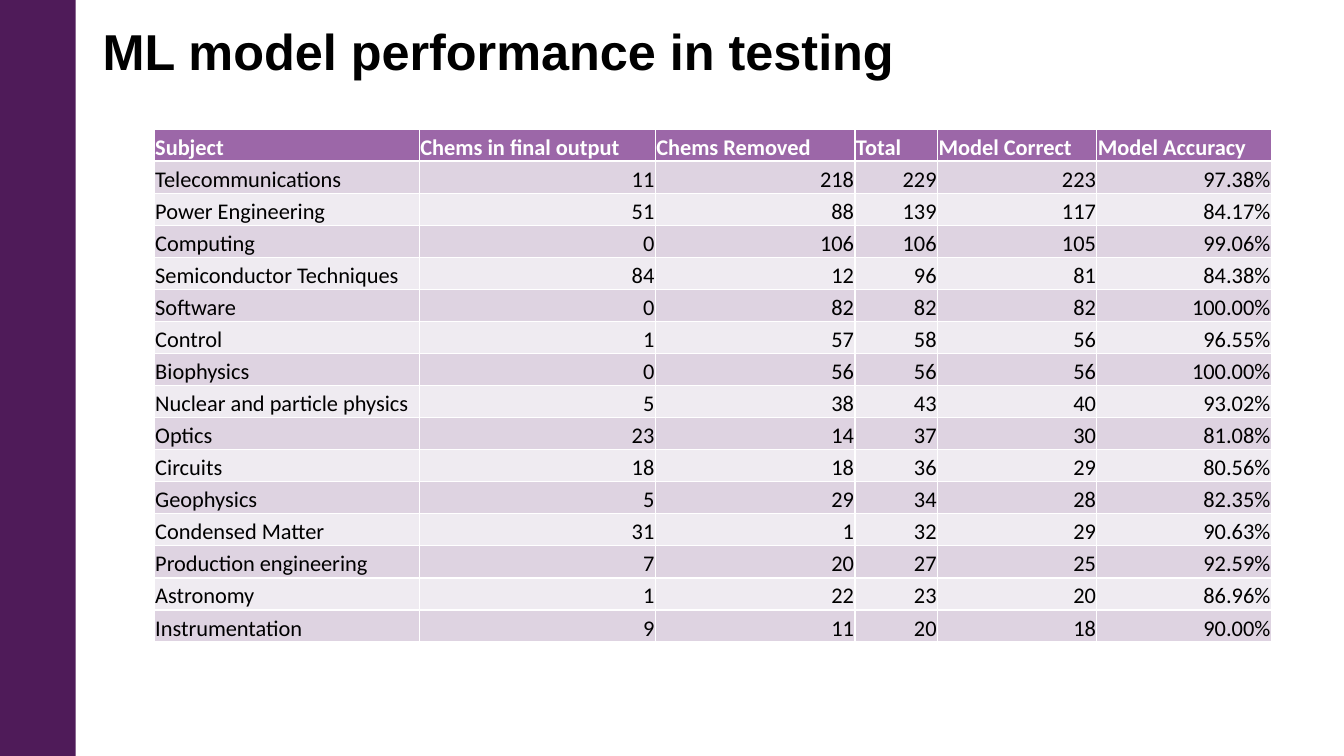
from dataclasses import astuple, dataclass

from pptx import Presentation
from pptx.dml.color import RGBColor
from pptx.enum.shapes import MSO_SHAPE
from pptx.enum.text import MSO_ANCHOR, PP_ALIGN
from pptx.slide import Slide
from pptx.table import _Cell
from pptx.text.text import Font
from pptx.util import Emu, Pt

EMU_PER_PX = 9144
RECTANGLE = MSO_SHAPE.RECTANGLE
MIDDLE, BOTTOM = MSO_ANCHOR.MIDDLE, MSO_ANCHOR.BOTTOM
LEFT, RIGHT = PP_ALIGN.LEFT, PP_ALIGN.RIGHT

COLOURS = {
    "sidebar": "4F1B59",
    "header": "9C67A8",
    "odd_row": "DED3E1",
    "even_row": "EFEBF1",
    "black": "000000",
    "white": "FFFFFF",
}


@dataclass(frozen=True)
class Column:
    heading: str
    width: int


@dataclass(frozen=True)
class SubjectResult:
    subject: str
    kept: int
    removed: int
    total: int
    correct: int
    accuracy: str


COLUMNS = [
    Column("Subject", 263),
    Column("Chems in final output", 234),
    Column("Chems Removed", 198),
    Column("Total", 82),
    Column("Model Correct", 158),
    Column("Model Accuracy", 173),
]

RESULTS = [
    SubjectResult("Telecommunications", 11, 218, 229, 223, "97.38%"),
    SubjectResult("Power Engineering", 51, 88, 139, 117, "84.17%"),
    SubjectResult("Computing", 0, 106, 106, 105, "99.06%"),
    SubjectResult("Semiconductor Techniques", 84, 12, 96, 81, "84.38%"),
    SubjectResult("Software", 0, 82, 82, 82, "100.00%"),
    SubjectResult("Control", 1, 57, 58, 56, "96.55%"),
    SubjectResult("Biophysics", 0, 56, 56, 56, "100.00%"),
    SubjectResult("Nuclear and particle physics", 5, 38, 43, 40, "93.02%"),
    SubjectResult("Optics", 23, 14, 37, 30, "81.08%"),
    SubjectResult("Circuits", 18, 18, 36, 29, "80.56%"),
    SubjectResult("Geophysics", 5, 29, 34, 28, "82.35%"),
    SubjectResult("Condensed Matter", 31, 1, 32, 29, "90.63%"),
    SubjectResult("Production engineering", 7, 20, 27, 25, "92.59%"),
    SubjectResult("Astronomy", 1, 22, 23, 20, "86.96%"),
    SubjectResult("Instrumentation", 9, 11, 20, 18, "90.00%"),
]


def px(length: int) -> Emu:
    return Emu(length * EMU_PER_PX)


def colour(name: str) -> RGBColor:
    return RGBColor.from_string(COLOURS[name])


def set_font(font: Font, face: str, size: int, ink: str, bold: bool) -> None:
    font.name = face
    font.size = Pt(size)
    font.color.rgb = colour(ink)
    font.bold = bold


def draw_sidebar(slide: Slide) -> None:
    sidebar = slide.shapes.add_shape(RECTANGLE, 0, 0, px(75), px(750))
    sidebar.shadow.inherit = False
    sidebar.fill.solid()
    sidebar.fill.fore_color.rgb = colour("sidebar")
    sidebar.line.fill.background()


def draw_title(slide: Slide) -> None:
    title = slide.shapes.add_textbox(px(92), px(19), px(1218), px(70)).text_frame
    title.word_wrap = True
    title.vertical_anchor = MIDDLE
    heading = title.paragraphs[0]
    heading.text = "ML model performance in testing"
    heading.line_spacing = 0.9
    set_font(heading.font, "Arial", 36, "black", True)


def fill_cell(cell: _Cell, text: str, fill: str, is_header: bool, align: PP_ALIGN) -> None:
    cell.fill.solid()
    cell.fill.fore_color.rgb = colour(fill)
    cell.vertical_anchor = BOTTOM
    cell.margin_left = cell.margin_top = cell.margin_right = px(1)
    cell.margin_bottom = 0
    entry = cell.text_frame.paragraphs[0]
    entry.text = text
    entry.alignment = align
    set_font(entry.font, "Calibri", 16, "white" if is_header else "black", is_header)


def draw_results(slide: Slide) -> None:
    rows = [[column.heading for column in COLUMNS], *map(astuple, RESULTS)]
    width = sum(column.width for column in COLUMNS)
    results = slide.shapes.add_table(
        len(rows), len(COLUMNS), px(153), px(128), px(width), px(509)
    ).table
    for grid_column, column in zip(results.columns, COLUMNS):
        grid_column.width = px(column.width)
    for r, values in enumerate(rows):
        is_header = r == 0
        fill = "header" if is_header else "odd_row" if r % 2 else "even_row"
        for c, value in enumerate(values):
            align = LEFT if is_header or c == 0 else RIGHT
            fill_cell(results.cell(r, c), str(value), fill, is_header, align)


def main() -> None:
    deck = Presentation()
    deck.slide_width, deck.slide_height = px(1333), px(750)
    slide = deck.slides.add_slide(deck.slide_layouts[6])
    draw_sidebar(slide)
    draw_title(slide)
    draw_results(slide)
    deck.save("out.pptx")


if __name__ == "__main__":
    main()
